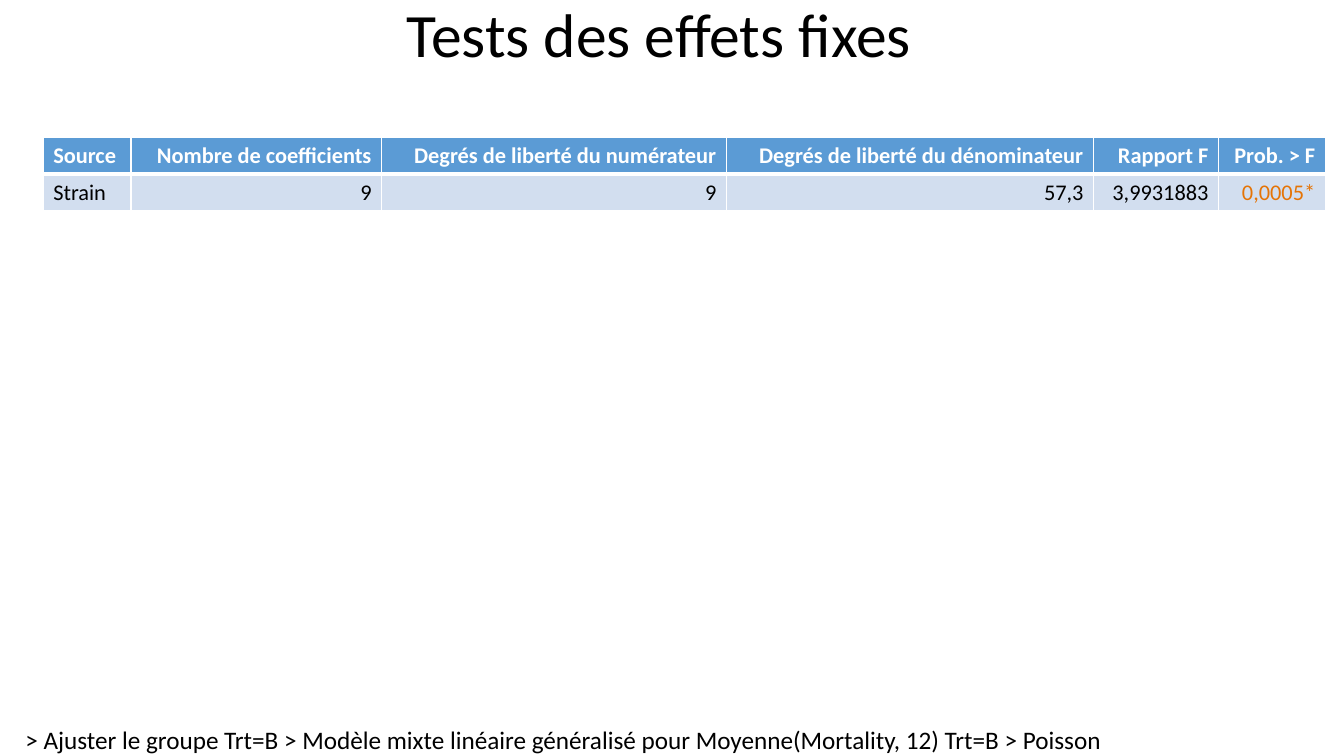
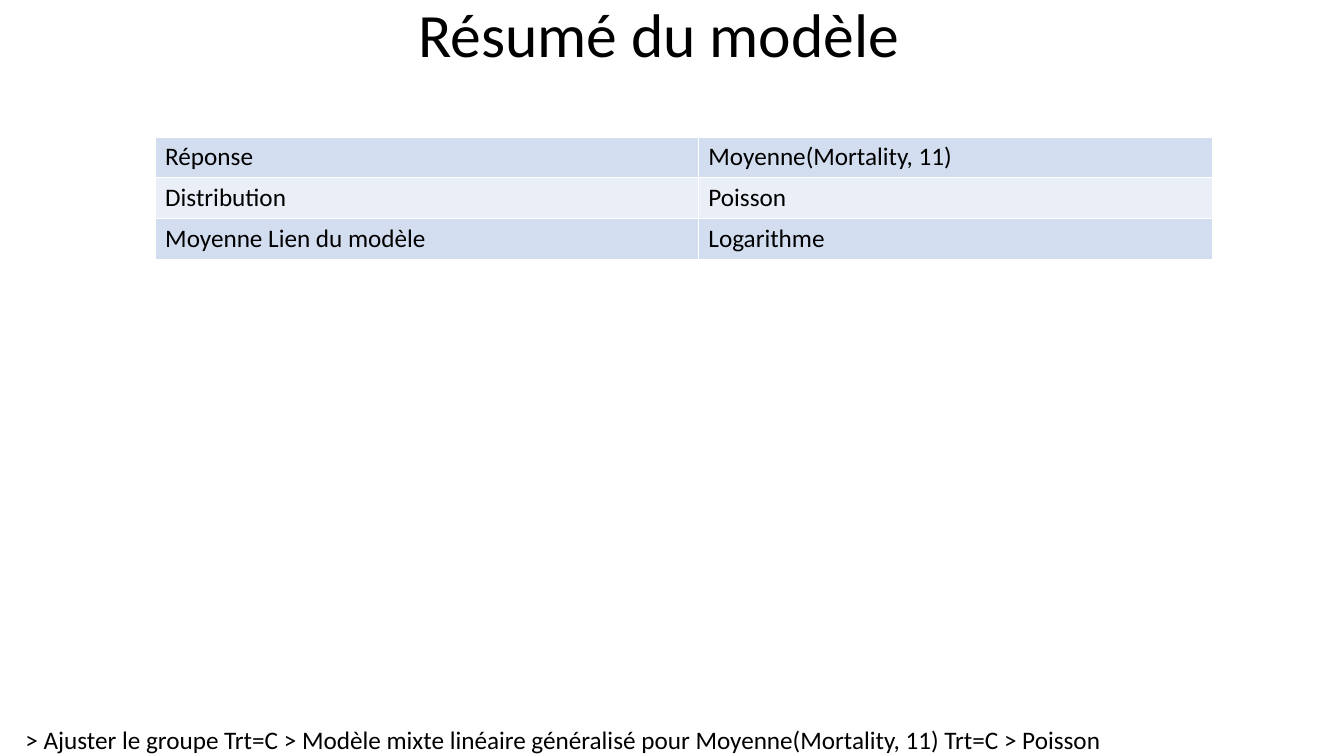
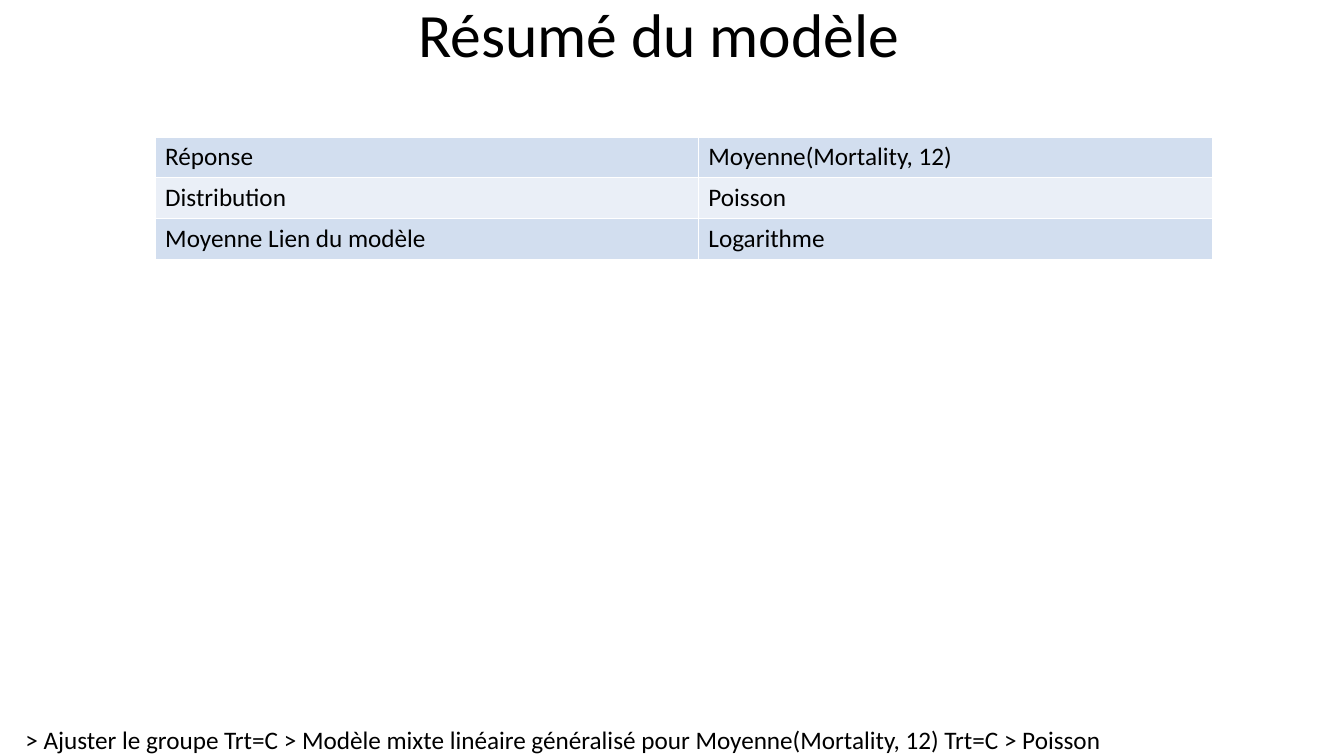
import dataclasses

import lxml.etree
import pptx
import pptx.dml.color
import pptx.enum.text
import pptx.oxml.ns
import pptx.util

Cm = pptx.util.Cm
Pt = pptx.util.Pt
ALIGN = pptx.enum.text.PP_ALIGN
ANCHOR = pptx.enum.text.MSO_ANCHOR
qn = pptx.oxml.ns.qn


@dataclasses.dataclass(frozen=True)
class Theme:
    font: str = "Calibri"
    text: str = "000000"
    white: str = "FFFFFF"
    header: str = "5B9BD5"
    bands: tuple = ("D2DEEF", "EAEFF7")
    significant: str = "E57406"
    title_size: int = 44
    body_size: int = 18
    test_size: int = 16
    rule: int = 1
    header_rule: int = 3


THEME = Theme()
SLIDE_SIZE = (Cm(33.87), Cm(19.05))
TITLE_BOX = (Cm(0), Cm(0), Cm(33.22), Cm(1.9))
FOOTER_BOX = (Cm(0.64), Cm(18.26), Cm(27.33), Cm(0.79))
TABLE_TOP = Cm(3.45)


def style_paragraph(p, size, color=THEME.text, bold=False, align=ALIGN.LEFT):
    p.alignment = align
    for r in p.runs:
        r.font.name = THEME.font
        r.font.size = Pt(size)
        r.font.bold = bold
        r.font.color.rgb = pptx.dml.color.RGBColor.from_string(color)


def add_title(s, box, text):
    tf = s.shapes.add_textbox(*box).text_frame
    tf.word_wrap = True
    tf.vertical_anchor = ANCHOR.MIDDLE
    tf.text = text
    p = tf.paragraphs[0]
    p.line_spacing = 0.9
    style_paragraph(p, THEME.title_size, align=ALIGN.CENTER)


def add_footer(s, box, text):
    tf = s.shapes.add_textbox(*box).text_frame
    tf.word_wrap = False
    tf.auto_size = pptx.enum.text.MSO_AUTO_SIZE.SHAPE_TO_FIT_TEXT
    tf.margin_left = tf.margin_top = tf.margin_right = tf.margin_bottom = 0
    tf.text = text
    style_paragraph(tf.paragraphs[0], THEME.body_size)


def set_borders(cell, top, bottom):
    tcPr = cell._tc.get_or_add_tcPr()
    widths = {"lnL": THEME.rule, "lnR": THEME.rule, "lnT": top, "lnB": bottom}
    for side, width in widths.items():
        ln = lxml.etree.SubElement(tcPr, qn(f"a:{side}"), w=str(Pt(width)))
        fill = lxml.etree.SubElement(ln, qn("a:solidFill"))
        lxml.etree.SubElement(fill, qn("a:srgbClr"), val=THEME.white)


def add_table(s, left, top, widths, row_height, rows, size, header=False, numeric=False):
    frame = s.shapes.add_table(len(rows), len(widths), left, top,
                               sum(widths), row_height * len(rows))
    table = frame.table
    table.first_row = header
    table.horz_banding = False
    for column, width in zip(table.columns, widths):
        column.width = width
    for i, values in enumerate(rows):
        table.rows[i].height = row_height
        is_header = header and i == 0
        above = THEME.header_rule if header and i == 1 else THEME.rule
        below = THEME.header_rule if is_header else THEME.rule
        fill = THEME.header if is_header else THEME.bands[(i - header) % 2]
        for j, value in enumerate(values):
            cell = table.cell(i, j)
            set_borders(cell, above, below)
            cell.fill.solid()
            cell.fill.fore_color.rgb = pptx.dml.color.RGBColor.from_string(fill)
            cell.text = value
            color = THEME.white if is_header else THEME.text
            if value.endswith("*"):
                color = THEME.significant
            align = ALIGN.RIGHT if numeric and j else ALIGN.LEFT
            style_paragraph(cell.text_frame.paragraphs[0], size, color, is_header, align)


def add_report_slide(prs, title, treatment, response):
    s = prs.slides.add_slide(prs.slide_layouts[6])
    add_footer(s, FOOTER_BOX,
               f"> Ajuster le groupe Trt={treatment} > Modèle mixte linéaire généralisé "
               f"pour {response} Trt={treatment} > Poisson")
    add_title(s, TITLE_BOX, title)
    return s


def add_effects_slide(prs, treatment, response, tests):
    s = add_report_slide(prs, "Tests des effets fixes", treatment, response)
    header = ("Source", "Nombre de coefficients", "Degrés de liberté du numérateur",
              "Degrés de liberté du dénominateur", "Rapport F", "Prob. > F")
    widths = [Cm(w) for w in (2.21, 6.32, 8.69, 9.25, 3.15, 2.69)]
    add_table(s, Cm(1.09), TABLE_TOP, widths, Cm(0.93), [header, *tests],
              THEME.test_size, header=True, numeric=True)


def add_summary_slide(prs, treatment, response):
    s = add_report_slide(prs, "Résumé du modèle", treatment, response)
    rows = [("Réponse", response), ("Distribution", "Poisson"),
            ("Moyenne Lien du modèle", "Logarithme")]
    add_table(s, Cm(3.91), TABLE_TOP, [Cm(13.69), Cm(12.95)], Cm(1.03), rows,
              THEME.body_size)


def main():
    prs = pptx.Presentation()
    prs.slide_width, prs.slide_height = SLIDE_SIZE
    add_effects_slide(prs, "B", "Moyenne(Mortality, 12)",
                      [("Strain", "9", "9", "57,3", "3,9931883", "0,0005*")])
    for response in ("Moyenne(Mortality, 11)", "Moyenne(Mortality, 12)"):
        add_summary_slide(prs, "C", response)
    prs.save("out.pptx")


if __name__ == "__main__":
    main()
